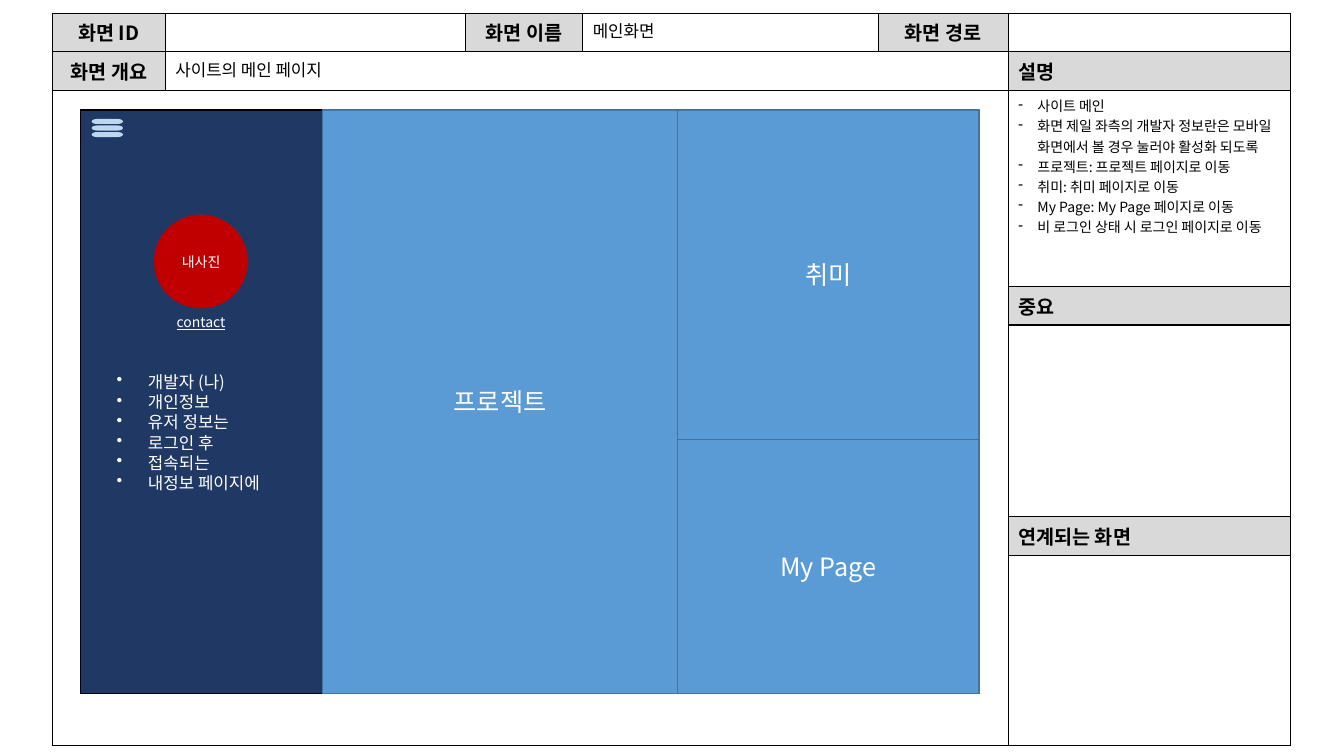
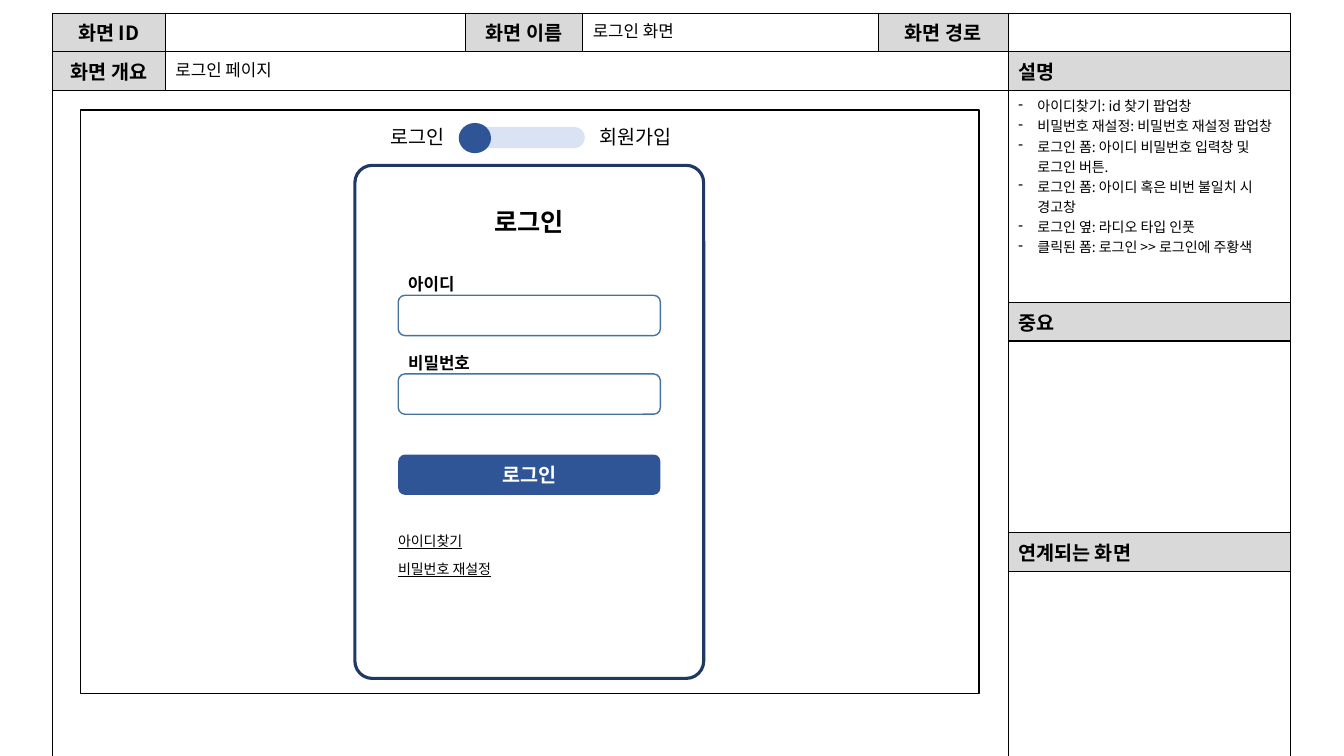
from dataclasses import dataclass

from lxml import etree
from pptx import Presentation
from pptx.dml.color import RGBColor
from pptx.enum.shapes import MSO_SHAPE
from pptx.enum.text import MSO_ANCHOR, PP_ALIGN
from pptx.oxml.ns import qn
from pptx.util import Inches, Pt

RECT, ROUND, OVAL, BAR = (MSO_SHAPE.RECTANGLE, MSO_SHAPE.ROUNDED_RECTANGLE,
                          MSO_SHAPE.OVAL, MSO_SHAPE.FLOWCHART_TERMINATOR)
LEFT, CENTER = PP_ALIGN.LEFT, PP_ALIGN.CENTER
TOP, MIDDLE = MSO_ANCHOR.TOP, MSO_ANCHOR.MIDDLE
CELL = 0.1


@dataclass(frozen=True)
class Theme:
    """Colours, font and type sizes of the deck."""
    font: str = "Noto Sans CJK KR"
    black: str = "000000"
    white: str = "FFFFFF"
    head: str = "D9D9D9"
    navy: str = "203864"
    royal: str = "2F5597"
    sky: str = "5B9BD5"
    steel: str = "43739E"
    pale: str = "BDD7EE"
    track: str = "DAE3F3"
    red: str = "C00000"
    big: int = 18
    label: int = 14
    body: int = 12
    small: int = 10


@dataclass(frozen=True)
class Box:
    """Area measured in grid columns and rows."""
    x: float
    y: float
    w: float
    h: float

    def sub(self, x, y, w, h):
        """Return an area placed from this one's top left corner."""
        return Box(self.x + x, self.y + y, w, h)

    def emu(self):
        """Return left, top, width and height as lengths."""
        return [Inches(v * CELL) for v in (self.x, self.y, self.w, self.h)]


T = Theme()
TABLE = Box(5.2, 1.3, 122.8, 71.4)
SCREEN = Box(8, 10.9, 89.1, 57.9)
COLS = (11.2, 29.8, 11.6, 29.3, 12.9, 28)


def write(tf, lines, size, color=T.black, align=LEFT, bullet=None, indent=0, **fmt):
    """Fill a text frame with one formatted paragraph per line."""
    tf.word_wrap = True
    for i, line in enumerate(lines):
        p = tf.paragraphs[0] if i == 0 else tf.add_paragraph()
        p.alignment = align
        if bullet:
            pPr = p._p.get_or_add_pPr()
            pPr.set("marL", str(Inches(indent * CELL)))
            pPr.set("indent", str(-Inches(indent * CELL)))
            etree.SubElement(pPr, qn("a:buChar"), char=bullet)
        r = p.add_run()
        r.text = line
        for name, value in {"size": Pt(size), "name": T.font, **fmt}.items():
            setattr(r.font, name, value)
        r.font.color.rgb = RGBColor.from_string(color)
        etree.SubElement(r._r.get_or_add_rPr(), qn("a:ea"), typeface=T.font)


def paint(fill, color):
    """Set a solid fill, or none when there is no colour."""
    if color:
        fill.solid()
        fill.fore_color.rgb = RGBColor.from_string(color)
    else:
        fill.background()


def shape(slide, kind, box, fill=None, line=None, width=1, adj=None, text=None, **fmt):
    """Add a preset shape with optional centred text."""
    sp = slide.shapes.add_shape(kind, *box.emu())
    sp.shadow.inherit = False
    paint(sp.fill, fill)
    paint(sp.line.fill, line)
    if line:
        sp.line.width = Pt(width)
    if adj is not None:
        sp.adjustments[0] = adj
    if text:
        sp.text_frame.vertical_anchor = MIDDLE
        write(sp.text_frame, [text], **{"color": T.white, "align": CENTER, **fmt})


def label(slide, box, *lines, **fmt):
    """Add a text box."""
    tf = slide.shapes.add_textbox(*box.emu()).text_frame
    tf.vertical_anchor = TOP
    write(tf, lines, **fmt)


def style_cell(cell, fill):
    """Give a cell its borders, fill and empty-line size."""
    tcPr = cell._tc.get_or_add_tcPr()
    for side in ("lnL", "lnR", "lnT", "lnB"):
        ln = etree.SubElement(tcPr, qn(f"a:{side}"), w=str(Pt(1)))
        solid = etree.SubElement(ln, qn("a:solidFill"))
        etree.SubElement(solid, qn("a:srgbClr"), val=T.black)
    paint(cell.fill, fill)
    etree.SubElement(cell.text_frame.paragraphs[0]._p, qn("a:endParaRPr"),
                     sz=str(T.small * 100))


def spec_table(slide, box, rows, name, summary, notes):
    """Draw the specification form around a screen."""
    frame = slide.shapes.add_table(len(rows), len(COLS), *box.emu())
    table = frame.table
    table.first_row = table.horz_banding = False
    for lengths, parts, attr in ((COLS, table.columns, "width"), (rows, table.rows, "height")):
        for length, part in zip(lengths, parts):
            setattr(part, attr, Inches(length * CELL))
    heads = {(0, 0): "화면 ID", (0, 2): "화면 이름", (0, 4): "화면 경로", (1, 0): "화면 개요",
             (1, 5): "설명", (3, 5): "중요", (5, 5): "연계되는 화면"}
    for r in range(len(rows)):
        for c in range(len(COLS)):
            style_cell(table.cell(r, c), T.head if (r, c) in heads else None)
    table.cell(1, 1).merge(table.cell(1, 4))
    table.cell(2, 0).merge(table.cell(6, 4))
    for (r, c), text in heads.items():
        write(table.cell(r, c).text_frame, [text], T.label, bold=True,
              align=LEFT if c == 5 else CENTER)
    for at, text in {(0, 3): name, (1, 1): summary}.items():
        write(table.cell(*at).text_frame, [text], T.body)
    write(table.cell(2, 5).text_frame, notes, T.small, bullet="-", indent=1.9)


def sidebar(slide, box):
    """Draw the developer panel with menu, photo and details."""
    shape(slide, RECT, box, T.navy, T.black)
    label(slide, box.sub(2.6, 25.5, 18.7, 13.1), "개발자 (나)", "개인정보", "유저 정보는",
          "로그인 후", "접속되는", "내정보 페이지에",
          size=T.body, color=T.white, bullet="•", indent=3.1)
    shape(slide, OVAL, box.sub(7.3, 10.4, 9.3, 9.3), T.red, text="내사진", size=T.small)
    label(slide, box.sub(7.3, 19.7, 9.3, 2.7), "contact", size=T.small, color=T.white,
          align=CENTER, underline=True)
    for i in range(3):
        shape(slide, BAR, box.sub(1.1, 0.9 + 0.65 * i, 3.1, 0.5), T.pale)


def main_screen(slide, box):
    """Draw the main page: sidebar and three page tiles."""
    shape(slide, RECT, box, line=T.black)
    side, mid, split = 24, 35.2, 32.7
    right = box.w - side - mid
    sidebar(slide, box.sub(0, 0, side, box.h))
    tiles = {"프로젝트": (side, 0, mid, box.h),
             "My Page": (side + mid, split, right, box.h - split),
             "취미": (side + mid, 0, right, split)}
    for text, area in tiles.items():
        shape(slide, RECT, box.sub(*area), T.sky, T.steel, text=text, size=T.big)


def toggle(slide, box):
    """Draw the switch between login and sign-up."""
    shape(slide, ROUND, box.sub(8.5, 0.7, 12.5, 2.1), T.track, adj=0.5)
    shape(slide, OVAL, box.sub(8.5, 0.3, 3.2, 3), T.royal)
    for text, x, w in (("로그인", 0, 8.9), ("회원가입", 21, 10.1)):
        label(slide, box.sub(x, 0, w, box.h), text, size=T.label, align=CENTER)


def login_card(slide, box):
    """Draw the login form."""
    pad, wide, tall = 4.3, 26, 4
    shape(slide, ROUND, box, line=T.navy, width=2.25, adj=0.05)
    label(slide, box.sub(pad, 3.6, wide, tall), "로그인", size=T.big, align=CENTER, bold=True)
    for i, text in enumerate(("아이디", "비밀번호")):
        y = 10.3 + 7.8 * i
        shape(slide, ROUND, box.sub(pad, y + 2.6, wide, tall), line=T.steel)
        label(slide, box.sub(pad, y, 10.6, 3), text, size=T.body, bold=True)
    shape(slide, ROUND, box.sub(pad, 28.7, wide, tall), T.royal, text="로그인",
          size=T.label, bold=True)
    for i, text in enumerate(("아이디찾기", "비밀번호 재설정")):
        label(slide, box.sub(pad - 1, 35.9 + 2.8 * i, 13, 2.7), text,
              size=T.small, underline=True)


def login_screen(slide, box):
    """Draw the login page."""
    shape(slide, RECT, box, line=T.black)
    login_card(slide, box.sub(27.2, 5.5, 34.6, 50.9))
    toggle(slide, box.sub(29, 1, 31.1, 3.4))


PAGES = (
    (main_screen, (3.85, 3.85, 19.4, 3.85, 19, 3.85, 18.9), "메인화면", "사이트의 메인 페이지",
     ("사이트 메인", "화면 제일 좌측의 개발자 정보란은 모바일 화면에서 볼 경우 눌러야 활성화 되도록",
      "프로젝트: 프로젝트 페이지로 이동", "취미: 취미 페이지로 이동",
      "My Page: My Page 페이지로 이동", "비 로그인 상태 시 로그인 페이지로 이동")),
    (login_screen, (3.85, 3.85, 21, 3.85, 19, 3.85, 19.1), "로그인 화면", "로그인 페이지",
     ("아이디찾기: id 찾기 팝업창", "비밀번호 재설정: 비밀번호 재설정 팝업창",
      "로그인 폼: 아이디 비밀번호 입력창 및 로그인 버튼.",
      "로그인 폼: 아이디 혹은 비번 불일치 시 경고창", "로그인 옆: 라디오 타입 인풋",
      "클릭된 폼: 로그인 >> 로그인에 주황색")),
)


def build():
    """Build and save the deck."""
    prs = Presentation()
    prs.slide_width, prs.slide_height = Inches(13.33), Inches(7.5)
    for draw, rows, name, summary, notes in PAGES:
        slide = prs.slides.add_slide(prs.slide_layouts[6])
        spec_table(slide, TABLE, rows, name, summary, notes)
        draw(slide, SCREEN)
    prs.save("out.pptx")


build()
